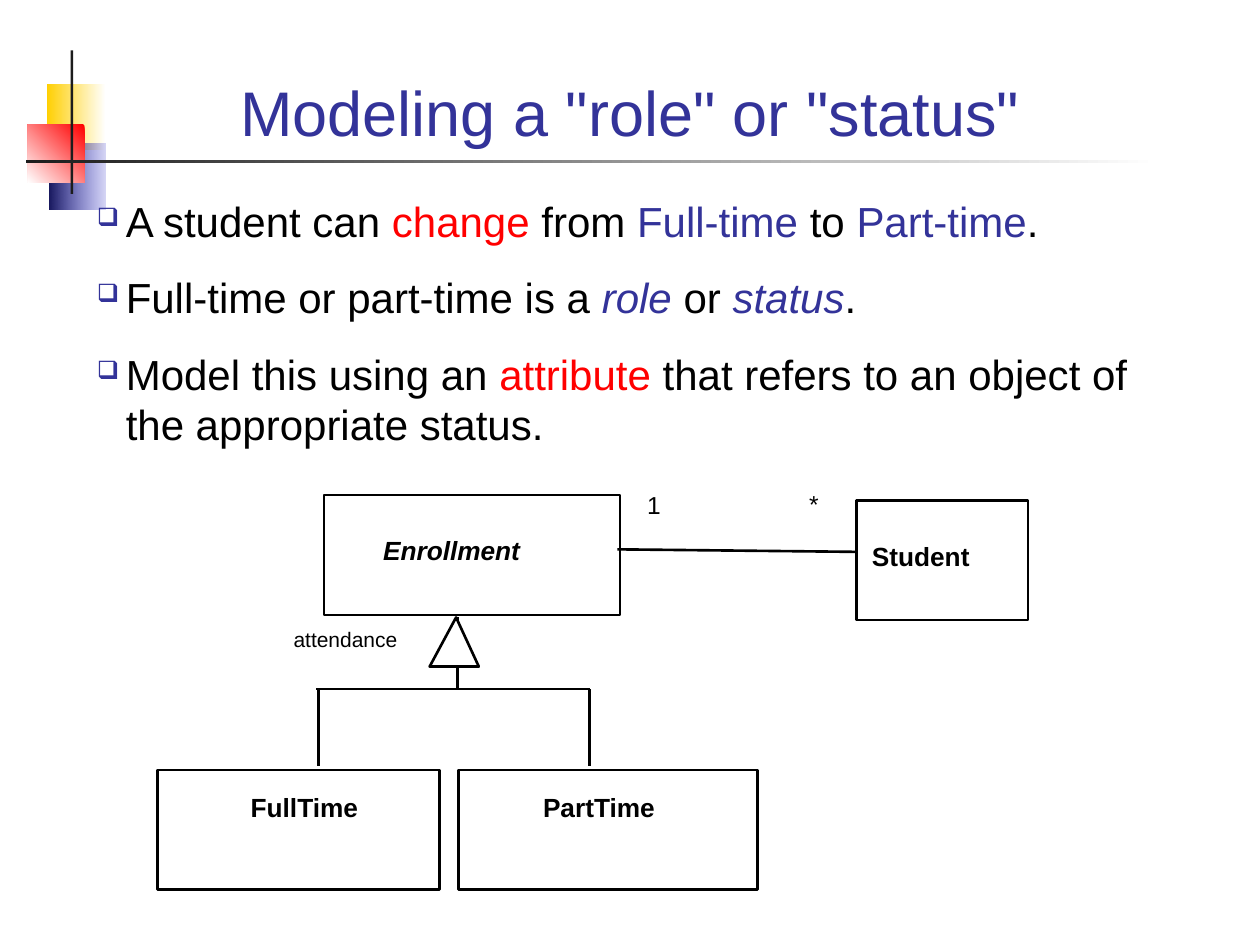
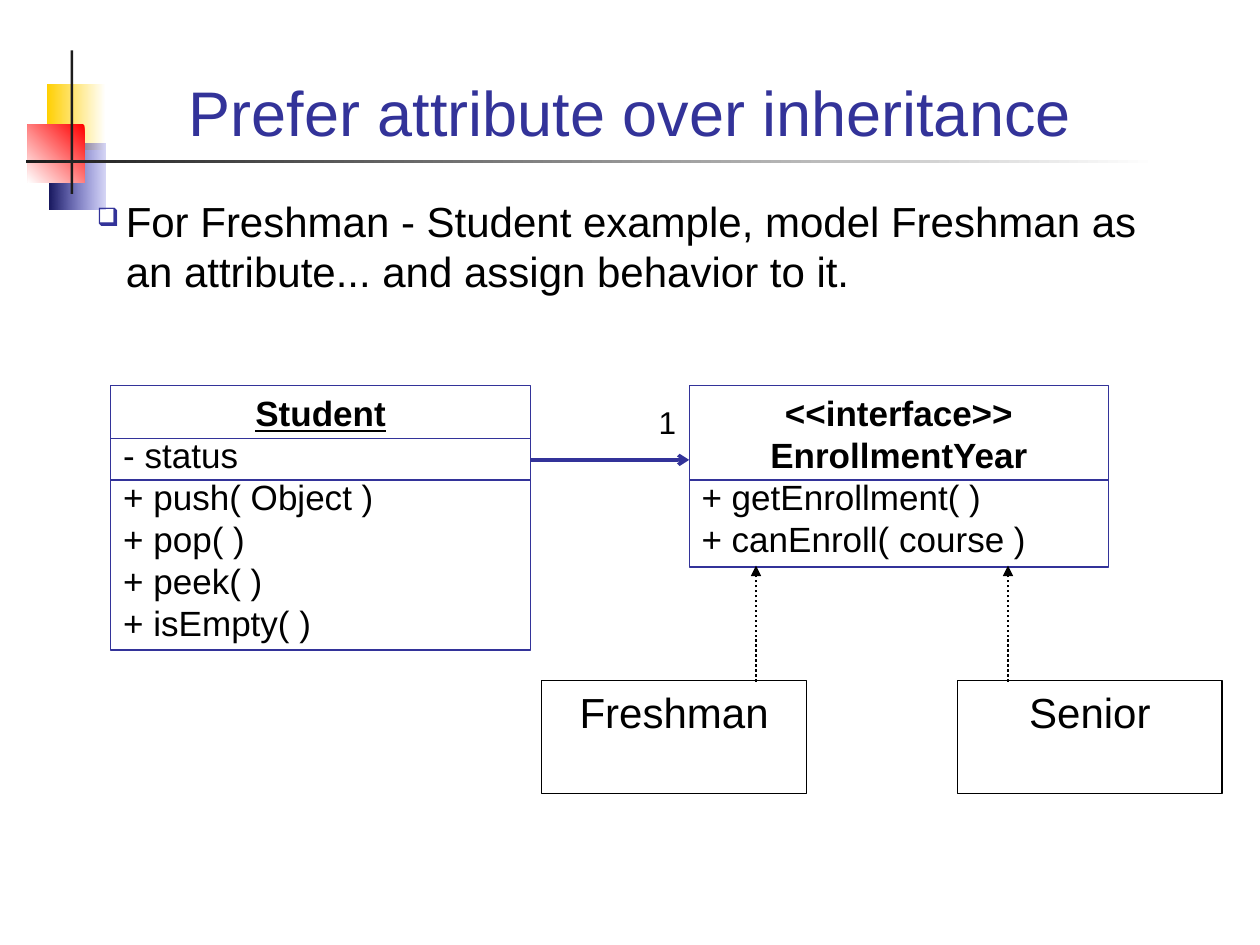
from typing import NamedTuple

from lxml.etree import SubElement
from pptx import Presentation
from pptx.dml.color import RGBColor
from pptx.enum.dml import MSO_LINE
from pptx.enum.shapes import MSO_CONNECTOR, MSO_SHAPE
from pptx.enum.text import MSO_ANCHOR, MSO_AUTO_SIZE, PP_ALIGN
from pptx.oxml.ns import qn
from pptx.util import Inches, Pt

FONT = "Arial"
LINE_PITCH = 1.2
COLORS = {
    "text": "000000",
    "accent": "333399",
    "alert": "FF0000",
    "white": "FFFFFF",
    "yellow": "FFCF01",
    "violet": "3333CC",
    "navy": "17175E",
    "rule": "1C1C1C",
}


class Band(NamedTuple):
    x: float
    y: float
    w: float
    h: float
    start: str
    end: str
    angle: int = 180
    start_alpha: int = 100


class Box(NamedTuple):
    x: float
    y: float
    w: float
    h: float
    color: str = "text"
    width: float = 0.75


class Label(NamedTuple):
    text: str
    x: float
    y: float
    w: float
    h: float
    size: float = 15
    bold: bool = True
    italic: bool = False


BANDS = [
    Band(0.37, 0.67, 0.47, 0.52, "white", "yellow"),
    Band(0.39, 1.14, 0.45, 0.52, "violet", "navy", start_alpha=20),
    Band(0.22, 0.99, 0.45, 0.46, "alert", "white", angle=225),
    Band(0.56, 0.4, 0.02, 1.14, "rule", "rule"),
    Band(0.21, 1.27, 8.98, 0.02, "white", "rule"),
]


def rgb(name: str) -> RGBColor:
    return RGBColor.from_string(COLORS[name])


def write(p, text, *, size=24, color="text", bold=False, italic=False,
          underline=False, align=PP_ALIGN.LEFT):
    p.alignment = align
    p.line_spacing = Pt(size * LINE_PITCH)
    r = p.add_run()
    r.text = text
    f = r.font
    f.name, f.size = FONT, Pt(size)
    f.bold, f.italic, f.underline = bold, italic, underline
    f.color.rgb = rgb(color)


def setup_frame(tf, inset: bool = True, wrap: bool = True,
                anchor=MSO_ANCHOR.TOP):
    tf.word_wrap = wrap
    tf.auto_size = MSO_AUTO_SIZE.NONE
    tf.vertical_anchor = anchor
    tf.margin_left = tf.margin_right = Inches(0.1 if inset else 0)
    tf.margin_top = tf.margin_bottom = Inches(0.05 if inset else 0)
    return tf


def next_paragraph(tf, index: int):
    return tf.add_paragraph() if index else tf.paragraphs[0]


def add_band(s, band: Band):
    sp = s.shapes.add_shape(MSO_SHAPE.RECTANGLE, *map(Inches, band[:4]))
    sp.shadow.inherit = False
    sp.line.fill.background()
    if band.start == band.end:
        sp.fill.solid()
        sp.fill.fore_color.rgb = rgb(band.start)
        return
    sp.fill.gradient()
    sp.fill.gradient_angle = band.angle
    for stop, name, position in zip(sp.fill.gradient_stops,
                                    (band.start, band.end), (0, 1)):
        stop.color.rgb = rgb(name)
        stop.position = position
    if band.start_alpha < 100:
        first = next(sp._element.spPr.iter(qn("a:srgbClr")))
        SubElement(first, qn("a:alpha"), val=str(band.start_alpha * 1000))


def add_titled_slide(prs, title: str):
    s = prs.slides.add_slide(prs.slide_layouts[5])
    for band in BANDS:
        add_band(s, band)
    sp = s.shapes.title
    sp.left, sp.top, sp.width, sp.height = map(Inches, (0.67, 0.28, 8.66, 0.95))
    tf = setup_frame(sp.text_frame, anchor=MSO_ANCHOR.BOTTOM)
    write(tf.paragraphs[0], title, size=36, color="accent",
          align=PP_ALIGN.CENTER)
    return s


def add_bullet(p):
    pPr = p._p.get_or_add_pPr()
    pPr.set("marL", str(Inches(0.23)))
    pPr.set("indent", str(-Inches(0.23)))
    SubElement(SubElement(pPr, qn("a:buClr")), qn("a:srgbClr"),
               val=COLORS["accent"])
    SubElement(pPr, qn("a:buSzPct"), val="60000")
    SubElement(pPr, qn("a:buChar"), char="❑")


def add_bullets(s, items: list, height: float):
    sp = s.shapes.add_textbox(*map(Inches, (0.67, 1.5, 8.66, height)))
    tf = setup_frame(sp.text_frame)
    for i, pieces in enumerate(items):
        p = next_paragraph(tf, i)
        add_bullet(p)
        if i:
            p.space_before = Pt(15)
        for text, fmt in pieces:
            write(p, text, **fmt)


def add_box(s, box: Box, lines: list = ()):
    sp = s.shapes.add_shape(MSO_SHAPE.RECTANGLE, *map(Inches, box[:4]))
    sp.shadow.inherit = False
    sp.fill.background()
    sp.line.color.rgb = rgb(box.color)
    sp.line.width = Pt(box.width)
    tf = setup_frame(sp.text_frame)
    for i, (text, fmt) in enumerate(lines):
        write(next_paragraph(tf, i), text, **fmt)


def add_label(s, label: Label):
    sp = s.shapes.add_textbox(*map(Inches, label[1:5]))
    tf = setup_frame(sp.text_frame, inset=False, wrap=False)
    write(tf.paragraphs[0], label.text, size=label.size, bold=label.bold,
          italic=label.italic)


def add_multiplicity(s, text: str, x: float, y: float, w: float, h: float,
                     **fmt):
    sp = s.shapes.add_textbox(*map(Inches, (x, y, w, h)))
    write(setup_frame(sp.text_frame).paragraphs[0], text, **fmt)


def add_line(s, x1: float, y1: float, x2: float, y2: float, *,
             color="text", width=1.5, dash=None, head=None):
    c = s.shapes.add_connector(MSO_CONNECTOR.STRAIGHT,
                               *map(Inches, (x1, y1, x2, y2)))
    c.line.color.rgb = rgb(color)
    c.line.width = Pt(width)
    if dash:
        c.line.dash_style = dash
    if head:
        SubElement(c.line._get_or_add_ln(), qn("a:tailEnd"), type=head)
    SubElement(c._element.spPr, qn("a:effectLst"))


def add_inheritance_triangle(s):
    apex, *base = [tuple(map(Inches, point))
                   for point in ((3.62, 4.9), (3.8, 5.29), (3.41, 5.29))]
    builder = s.shapes.build_freeform(*apex)
    builder.add_line_segments(base, close=True)
    sp = builder.convert_to_shape()
    sp.shadow.inherit = False
    sp.fill.solid()
    sp.fill.fore_color.rgb = rgb("white")
    sp.line.color.rgb = rgb("text")
    sp.line.width = Pt(1.5)


def build_role_slide(prs):
    s = add_titled_slide(prs, 'Modeling a "role" or "status"')
    accent, alert = {"color": "accent"}, {"color": "alert"}
    term = {"color": "accent", "italic": True}
    add_bullets(s, [
        [("A student can ", {}), ("change", alert), (" from ", {}),
         ("Full-time", accent), (" to ", {}), ("Part-time", accent), (".", {})],
        [("Full-time or part-time is a ", {}), ("role", term), (" or ", {}),
         ("status", term), (".", {})],
        [("Model this using an ", {}), ("attribute", alert),
         (" that refers to an object of the appropriate status.", {})],
    ], height=2.1)

    branch_y, class_y = 5.47, 6.11
    add_line(s, 3.63, 4.9, 3.63, branch_y)
    add_inheritance_triangle(s)
    add_line(s, 2.51, branch_y, 4.68, branch_y)
    for x in (2.53, 4.68):
        add_line(s, x, branch_y, x, 6.08)
    add_line(s, 6.8, 4.38, 4.9, 4.36)

    for x, y, w in ((3.64, class_y, 2.37), (1.25, class_y, 2.24),
                    (6.8, 3.97, 1.36), (2.57, 3.93, 2.35)):
        add_box(s, Box(x, y, w, 0.95, width=1.5))
    for label in (
        Label("attendance", 2.33, 4.97, 0.83, 0.2, size=12, bold=False),
        Label("PartTime", 4.31, 6.28, 0.89, 0.25),
        Label("FullTime", 1.99, 6.28, 0.86, 0.25),
        Label("Student", 6.92, 4.29, 0.78, 0.25),
        Label("Enrollment", 3.04, 4.24, 1.09, 0.25, italic=True),
    ):
        add_label(s, label)
    for text, x, y in (("1", 4.92, 3.84), ("*", 6.19, 3.83)):
        add_multiplicity(s, text, x, y, 0.54, 0.34, size=14,
                         align=PP_ALIGN.CENTER)


def build_attribute_slide(prs):
    s = add_titled_slide(prs, "Prefer attribute over inheritance")
    add_bullets(s, [[("For Freshman - Student example, model Freshman as an "
                      "attribute... and assign behavior to it.", {})]],
                height=1.3)

    member = {"size": 20}
    heading = {"size": 20, "bold": True, "align": PP_ALIGN.CENTER}
    student_x, year_x, class_y, class_w = 0.88, 5.47, 3.06, 3.33
    add_box(s, Box(student_x, class_y, class_w, 2.1, "accent"), [
        ("Student", heading | {"underline": True}),
        ("- status", member),
        ("+ push( Object )", member),
        ("+ pop( )", member),
        ("+ peek( )", member),
        ("+ isEmpty( )", member),
    ])
    add_box(s, Box(year_x, class_y, class_w, 1.44, "accent"), [
        ("<<interface>>", heading),
        ("EnrollmentYear", heading),
        ("+ getEnrollment( )", member),
        ("+ canEnroll( course )", member),
    ])
    for x, y in ((student_x, 3.48), (student_x, 3.81), (year_x, 3.81)):
        add_line(s, x, y, x + class_w, y, color="accent", width=0.75)
    add_line(s, student_x + class_w, 3.65, year_x, 3.65, color="accent",
             width=2, head="arrow")
    add_multiplicity(s, "1", 5.13, 3.15, 0.33, 0.4, size=18)

    for name, box_x, arrow_x in (("Freshman", 4.3, 6), ("Senior", 7.6, 8)):
        add_box(s, Box(box_x, 5.4, 2.1, 0.9),
                [(name, {"align": PP_ALIGN.CENTER})])
        add_line(s, arrow_x, 5.41, arrow_x, 4.49, width=1.42,
                 dash=MSO_LINE.ROUND_DOT, head="triangle")


def main():
    prs = Presentation()
    prs.slide_width, prs.slide_height = Inches(10), Inches(7.5)
    build_role_slide(prs)
    build_attribute_slide(prs)
    prs.save("out.pptx")


if __name__ == "__main__":
    main()
